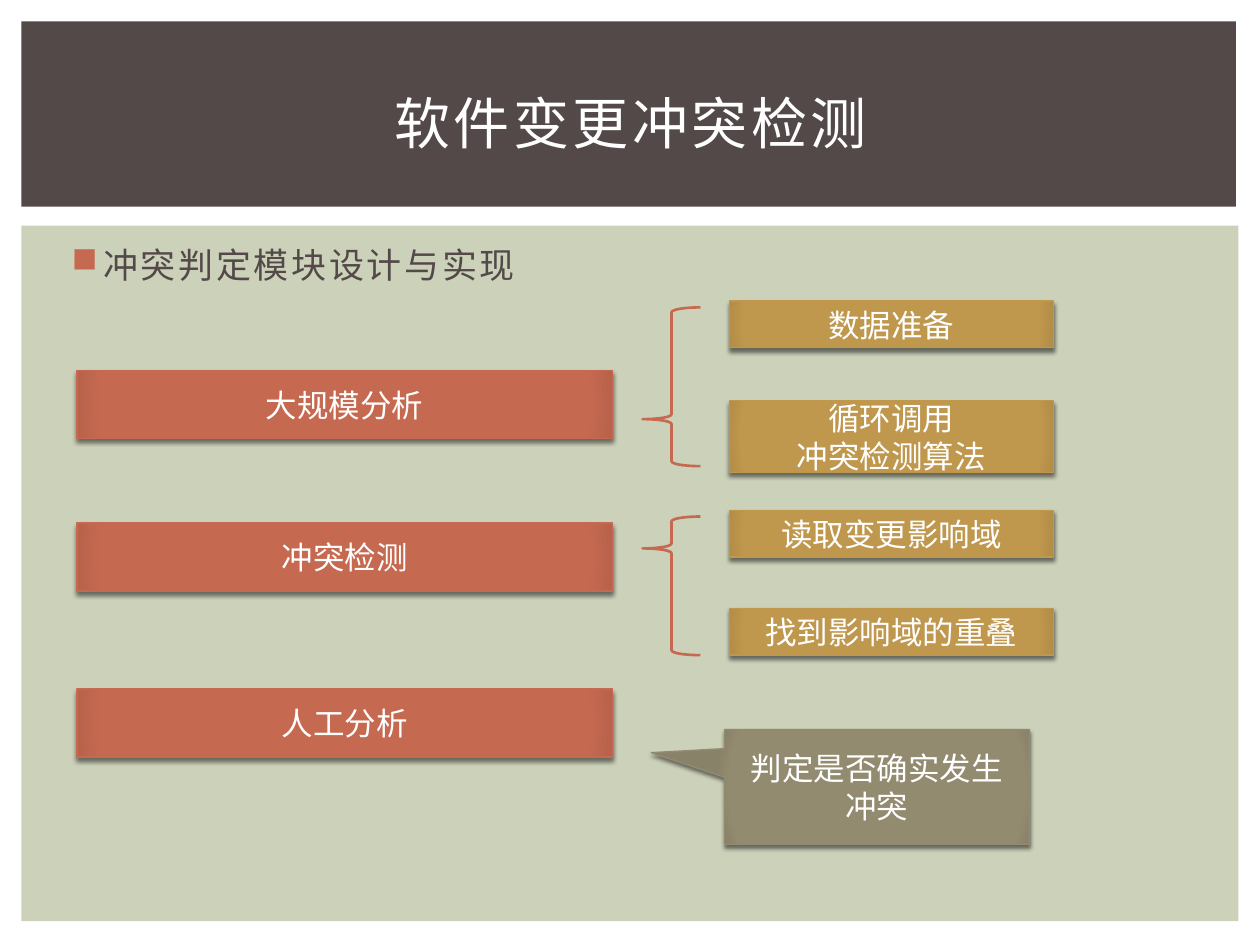
from lxml import etree
from pptx import Presentation
from pptx.dml.color import RGBColor
from pptx.enum import shapes, text
from pptx.oxml import parse_xml
from pptx.oxml.ns import nsdecls, qn
from pptx.util import Inches, Pt

FONT = "Cabin"
WHITE = RGBColor(0xFF, 0xFF, 0xFF)
BROWN = RGBColor(0x53, 0x49, 0x49)
SAGE = RGBColor(0xCC, 0xD1, 0xB9)
RED = RGBColor(0xC6, 0x69, 0x51)
RED_EDGE = RGBColor(0xB8, 0x62, 0x4B)
GOLD = RGBColor(0xBF, 0x97, 0x4D)
GOLD_EDGE = RGBColor(0xB2, 0x8D, 0x48)
OLIVE = RGBColor(0x92, 0x8B, 0x70)
OLIVE_EDGE = RGBColor(0x88, 0x82, 0x68)

STAGES = [("大规模分析", 2.94), ("冲突检测", 4.15), ("人工分析", 5.47)]
STEPS = [
    (["数据准备"], 2.39, 0.37),
    (["循环调用", "冲突检测算法"], 3.18, 0.57),
    (["读取变更影响域"], 4.05, 0.37),
    (["找到影响域的重叠"], 4.83, 0.37),
]
BRACES = [(2.44, 1.26, 0.704), (4.1, 1.1, 0.23)]


def add_panel(slide, box, color):
    panel = slide.shapes.add_shape(shapes.MSO_SHAPE.RECTANGLE, *map(Inches, box))
    panel.shadow.inherit = False
    panel.fill.solid()
    panel.fill.fore_color.rgb = color
    panel.line.fill.background()


def write_run(paragraph, wording, size, color, spacing=0):
    run = paragraph.add_run()
    run.text = wording
    run.font.name = FONT
    run.font.size = Pt(size)
    run.font.color.rgb = color
    if spacing:
        run.font._element.set("spc", str(int(spacing * 100)))


def add_text(slide, box, anchor):
    frame = slide.shapes.add_textbox(*map(Inches, box)).text_frame
    frame.word_wrap = True
    frame.vertical_anchor = anchor
    return frame.paragraphs[0]


def add_title(slide, wording):
    title = add_text(slide, (0.42, 0.39, 9.17, 1.15), text.MSO_ANCHOR.MIDDLE)
    title.alignment = text.PP_ALIGN.CENTER
    write_run(title, wording, 32, WHITE, 2)


def add_bullet(slide, wording):
    bullet = add_text(slide, (0.42, 1.88, 9.19, 4.82), text.MSO_ANCHOR.TOP)
    bullet.space_before = Pt(4)
    write_run(bullet, wording, 20, BROWN, 1.5)
    properties = bullet._p.get_or_add_pPr()
    properties.set("marL", str(Inches(0.3)))
    properties.set("indent", str(Inches(-0.25)))
    color = etree.SubElement(properties, qn("a:buClr"))
    etree.SubElement(color, qn("a:srgbClr"), val=str(RED))
    etree.SubElement(properties, qn("a:buChar"), char="■")


def shade(shape, color, edge):
    stops = "".join(
        f'<a:gs pos="{position}"><a:srgbClr val="{tone}"/></a:gs>'
        for position, tone in ((0, color), (90000, color), (100000, edge))
    )
    gradient = parse_xml(
        f'<a:gradFill {nsdecls("a")} rotWithShape="1"><a:gsLst>{stops}</a:gsLst>'
        '<a:path path="circle"><a:fillToRect l="100000" t="100000" '
        'r="100000" b="100000"/></a:path></a:gradFill>'
    )
    properties = shape._element.spPr
    properties.find(qn("a:prstGeom")).addnext(gradient)
    shape.line.color.rgb = color
    shape.line.width = Pt(0.79)
    shape.shadow.inherit = False
    properties.find(qn("a:effectLst")).append(parse_xml(
        f'<a:outerShdw {nsdecls("a")} blurRad="{Pt(2.5)}" dist="{Pt(2)}" '
        'dir="5400000" rotWithShape="0"><a:srgbClr val="000000">'
        '<a:alpha val="50000"/></a:srgbClr></a:outerShdw>'
    ))


def add_box(slide, box, lines, color, edge, kind=shapes.MSO_SHAPE.RECTANGLE):
    card = slide.shapes.add_shape(kind, *map(Inches, box))
    shade(card, color, edge)
    frame = card.text_frame
    frame.word_wrap = True
    frame.vertical_anchor = text.MSO_ANCHOR.MIDDLE
    for index, wording in enumerate(lines):
        paragraph = frame.add_paragraph() if index else frame.paragraphs[0]
        paragraph.alignment = text.PP_ALIGN.CENTER
        write_run(paragraph, wording, 18, WHITE)
    return card


def add_brace(slide, top, height, point):
    brace = slide.shapes.add_shape(
        shapes.MSO_SHAPE.LEFT_BRACE, *map(Inches, (5.1, top, 0.46, height))
    )
    brace.adjustments[0] = 0.083
    brace.adjustments[1] = point
    brace.shadow.inherit = False
    brace.fill.background()
    brace.line.color.rgb = RED
    brace.line.width = Pt(1.5)


def main():
    deck = Presentation()
    deck.slide_width, deck.slide_height = Inches(10), Inches(7.5)
    slide = deck.slides.add_slide(deck.slide_layouts[6])

    add_panel(slide, (0.17, 1.79, 9.66, 5.52), SAGE)
    add_panel(slide, (0.17, 0.17, 9.64, 1.47), BROWN)
    add_title(slide, "软件变更冲突检测")
    add_bullet(slide, "冲突判定模块设计与实现")

    for stage, top in STAGES:
        add_box(slide, (0.61, top, 4.25, 0.54), [stage], RED, RED_EDGE)
    for top, height, point in BRACES:
        add_brace(slide, top, height, point)
    for lines, top, height in STEPS:
        add_box(slide, (5.79, top, 2.57, height), lines, GOLD, GOLD_EDGE)

    verdict = add_box(
        slide, (5.75, 5.79, 2.42, 0.91), ["判定是否确实发生冲突"],
        OLIVE, OLIVE_EDGE, shapes.MSO_SHAPE.RECTANGULAR_CALLOUT,
    )
    verdict.adjustments[0] = -0.74
    verdict.adjustments[1] = -0.298

    deck.save("out.pptx")


if __name__ == "__main__":
    main()
